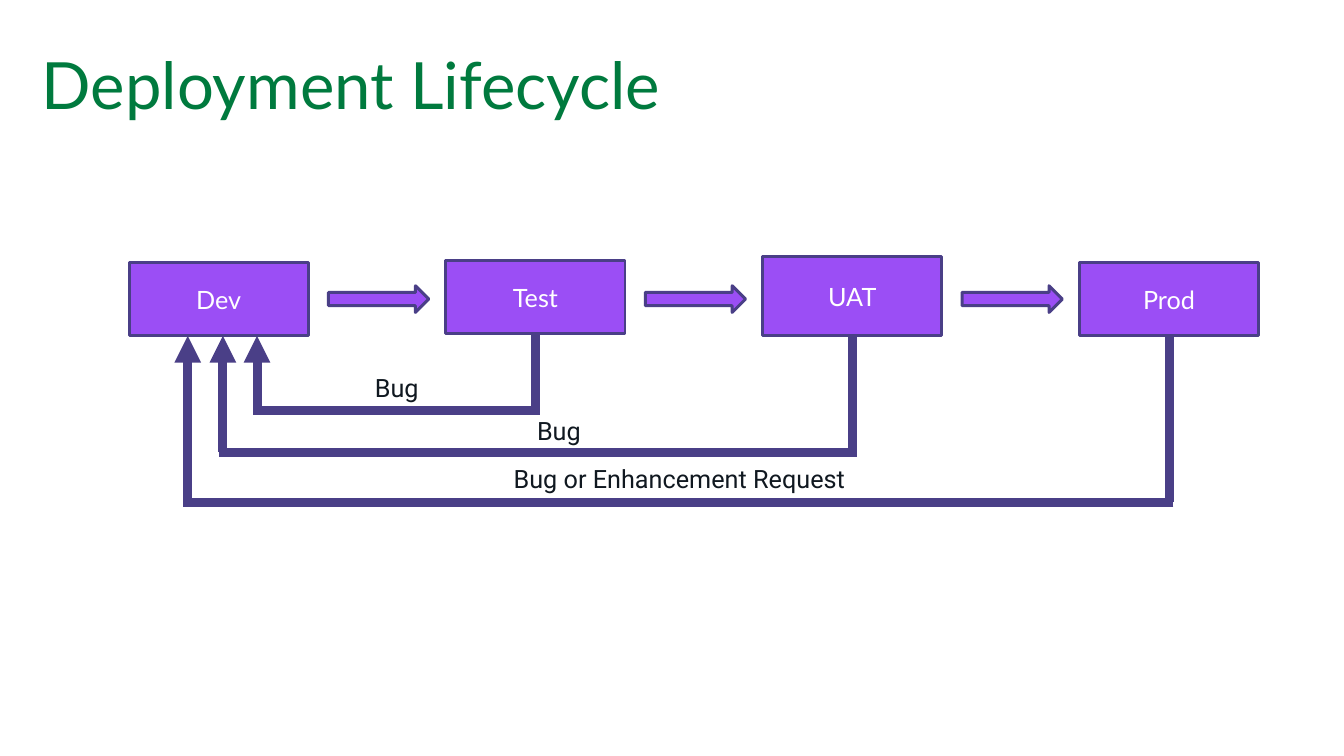
from dataclasses import dataclass

from lxml.etree import SubElement
from pptx import Presentation
from pptx.dml.color import RGBColor
from pptx.enum.shapes import MSO_CONNECTOR as Connector, MSO_SHAPE as Shape
from pptx.enum.text import MSO_ANCHOR as Anchor, MSO_AUTO_SIZE as AutoSize, PP_ALIGN as Align
from pptx.oxml.ns import qn
from pptx.util import Emu, Pt

PX = 9144
BOTTOM = 2


@dataclass(frozen=True)
class Theme:
    green: str = "007A3E"
    purple: str = "9B4EF5"
    indigo: str = "4A3F87"
    white: str = "FFFFFF"
    ink: str = "101820"
    heading_font: str = "Lato"
    label_font: str = "Roboto"
    title_size: int = 44
    text_size: int = 17
    outline: int = 2
    loop_line: int = 6


def px(*lengths):
    return [Emu(length * PX) for length in lengths]


class SlideBuilder:
    def __init__(self, page, theme):
        self.page = page
        self.theme = theme

    def set_text(self, shape, text, font, size, color, align):
        frame = shape.text_frame
        frame.word_wrap = True
        para = frame.paragraphs[0]
        para.text = text
        para.alignment = align
        para.font.name = font
        para.font.size = Pt(size)
        para.font.color.rgb = RGBColor.from_string(color)
        return frame

    def title(self, text, left, top, width, height):
        theme = self.theme
        box = self.page.shapes.title
        box.left, box.top, box.width, box.height = px(left, top, width, height)
        frame = self.set_text(box, text, theme.heading_font, theme.title_size, theme.green, Align.LEFT)
        frame.margin_left = frame.margin_right = frame.margin_top = frame.margin_bottom = 0
        frame.vertical_anchor = Anchor.MIDDLE
        frame.auto_size = AutoSize.NONE

    def block(self, kind, left, top, width, height):
        shape = self.page.shapes.add_shape(kind, *px(left, top, width, height))
        shape.shadow.inherit = False
        shape.fill.solid()
        shape.fill.fore_color.rgb = RGBColor.from_string(self.theme.purple)
        shape.line.color.rgb = RGBColor.from_string(self.theme.indigo)
        shape.line.width = Pt(self.theme.outline)
        return shape

    def stage(self, text, left, top, width, height):
        theme = self.theme
        box = self.block(Shape.RECTANGLE, left, top, width, height)
        frame = self.set_text(box, text, theme.heading_font, theme.text_size, theme.white, Align.CENTER)
        frame.vertical_anchor = Anchor.MIDDLE
        return box

    def line(self, start_x, start_y, end_x, end_y, arrow=False):
        line = self.page.shapes.add_connector(
            Connector.STRAIGHT, *px(start_x, start_y, end_x, end_y))
        line.line.color.rgb = RGBColor.from_string(self.theme.indigo)
        line.line.width = Pt(self.theme.loop_line)
        properties = line._element.spPr
        if arrow:
            SubElement(properties.find(qn("a:ln")), qn("a:tailEnd"), type="triangle")
        SubElement(properties, qn("a:effectLst"))
        return line

    def feedback(self, source, source_x, source_y, level, target_x, target_y):
        overlap = 4
        drop = self.line(source_x, source_y, source_x, level)
        drop.begin_connect(source, BOTTOM)
        self.line(source_x + overlap, level, target_x - overlap, level)
        self.line(target_x, level, target_x, target_y, arrow=True)

    def label(self, text, left, top, width, height):
        theme = self.theme
        box = self.page.shapes.add_textbox(*px(left, top, width, height))
        frame = self.set_text(box, text, theme.label_font, theme.text_size, theme.ink, Align.CENTER)
        frame.auto_size = AutoSize.SHAPE_TO_FIT_TEXT


def main():
    deck = Presentation()
    deck.slide_width, deck.slide_height = px(1260, 709)
    page = deck.slides.add_slide(deck.slide_layouts[5])
    slide = SlideBuilder(page, Theme())
    slide.title("Deployment Lifecycle", 39, 39, 1181, 79)

    first, step, stage_width = 121, 297, 168
    stage_rows = [("Dev", 246, 69), ("Test", 244, 69), ("UAT", 241, 74), ("Prod", 246, 69)]
    stages = []
    for index, (name, top, height) in enumerate(stage_rows):
        left = first + index * step
        box = slide.stage(name, left, top, stage_width, height)
        stages.append((box, left + stage_width // 2, top + height))

    for index in range(len(stages) - 1):
        slide.block(Shape.RIGHT_ARROW, 308 + index * step, 268, 94, 25)

    dev_bottom = stages[0][2]
    loops = [(385, 241), (424, 209), (471, 176)]
    for (box, middle, bottom), (level, target_x) in zip(stages[1:], loops):
        slide.feedback(box, middle, bottom, level, target_x, dev_bottom)

    slide.label("Bug", 290, 344, 164, 39)
    slide.label("Bug", 442, 385, 164, 39)
    slide.label("Bug or Enhancement Request", 434, 430, 406, 39)

    deck.save("out.pptx")


if __name__ == "__main__":
    main()
